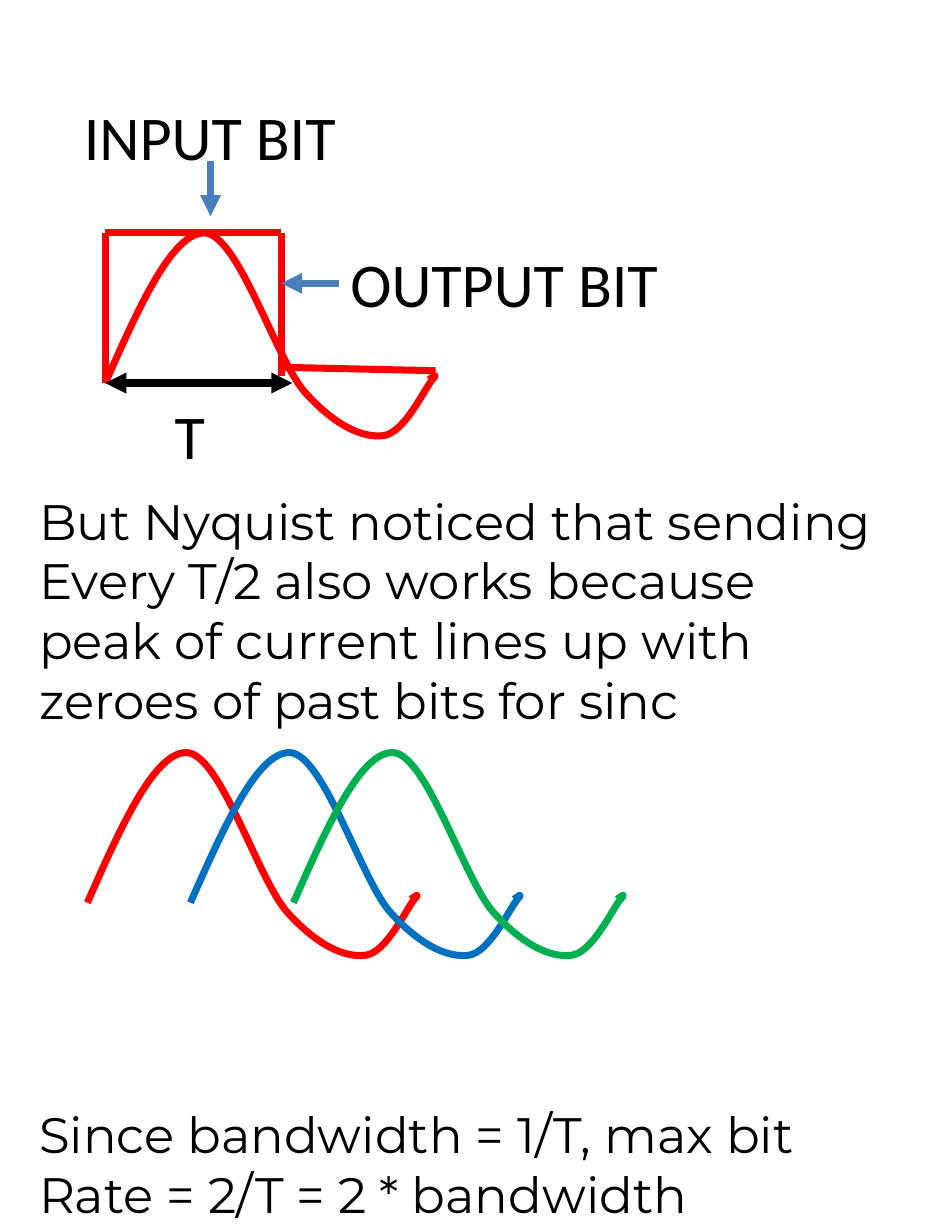
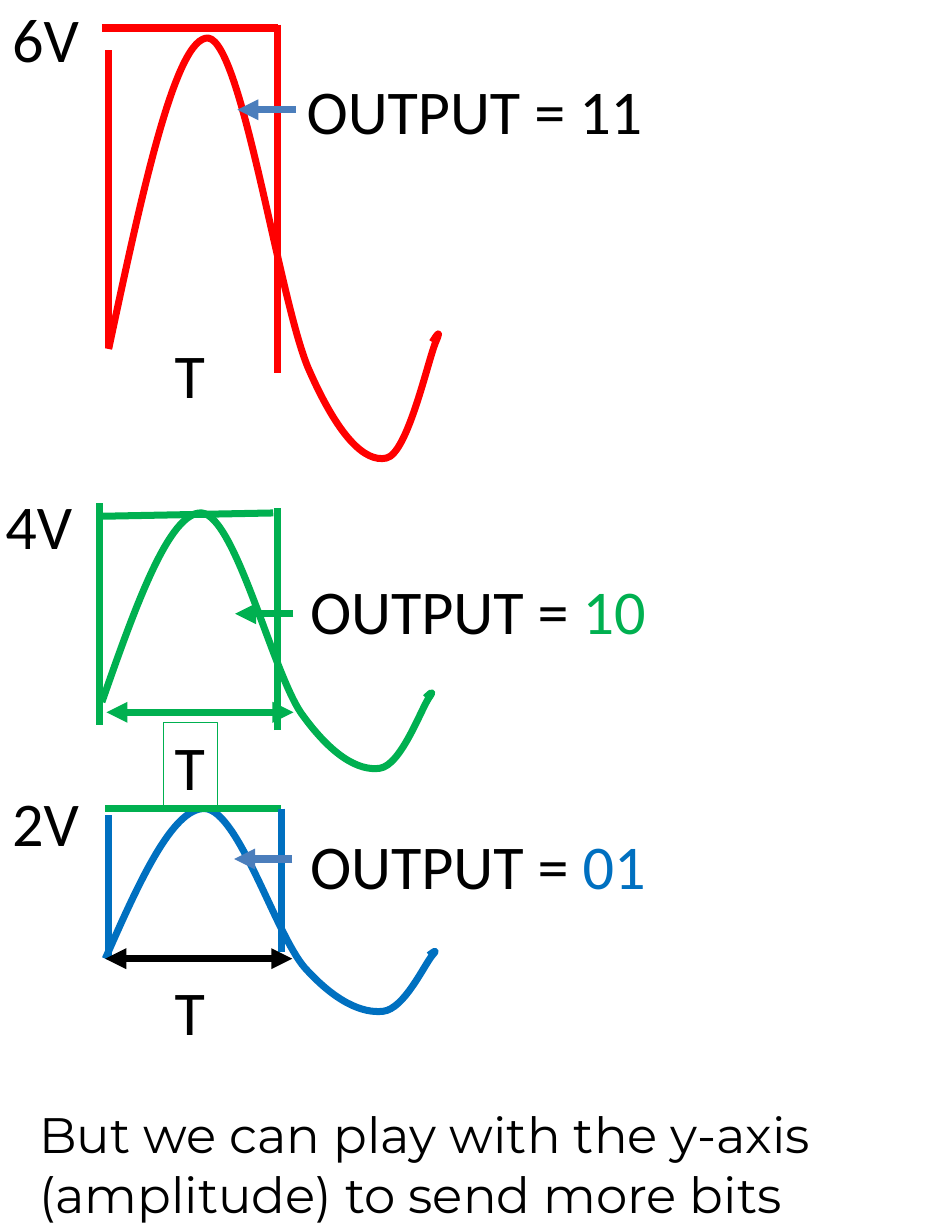
from lxml import etree
from pptx import Presentation
from pptx.dml.color import RGBColor
from pptx.enum.shapes import MSO_CONNECTOR
from pptx.enum.text import MSO_AUTO_SIZE
from pptx.oxml.ns import qn
from pptx.util import Inches, Pt

STRAIGHT = MSO_CONNECTOR.STRAIGHT
GROW = MSO_AUTO_SIZE.SHAPE_TO_FIT_TEXT

COLORS = {
    "red": "FF0000",
    "blue": "0070C0",
    "green": "00B050",
    "pointer": "4B7EBC",
    "black": "000000",
}
LABEL_FONT, BODY_FONT = "Calibri", "Montserrat"
STROKE = 4.5
LABEL_HEIGHT = 0.77
WAVE_HEIGHT = 1.81
WAVE_START = (0, 1.34)
WAVE_CURVES = [
    (0.3, 0.66), (0.6, -0.01), (0.89, 0),
    (1.19, 0.02), (1.52, 1.12), (1.78, 1.42),
    (2.05, 1.72), (2.29, 1.83), (2.48, 1.81),
    (2.67, 1.79), (2.85, 1.39), (2.92, 1.31),
    (2.99, 1.23), (2.89, 1.31), (2.89, 1.31),
]


def rgb(color):
    return RGBColor.from_string(COLORS[color])


def add_text(slide, box, paragraphs, font=LABEL_FONT, size=40, wrap=False, border=None):
    field = slide.shapes.add_textbox(*(Inches(v) for v in box))
    frame = field.text_frame
    frame.word_wrap = wrap
    frame.auto_size = GROW
    for index, parts in enumerate(paragraphs):
        paragraph = frame.add_paragraph() if index else frame.paragraphs[0]
        for words, color in parts:
            run = paragraph.add_run()
            run.text = words
            run.font.name = font
            run.font.size = Pt(size)
            run.font.color.rgb = rgb(color)
    if border:
        field.line.color.rgb = rgb(border)
        field.line.width = Pt(0.75)


def add_label(slide, left, top, width, *parts, border=None):
    add_text(slide, (left, top, width, LABEL_HEIGHT), [parts],
             wrap=border is not None, border=border)


def add_body(slide, top, height, lines):
    add_text(slide, (0.25, top, 8.25, height), [[(line, "black")] for line in lines],
             font=BODY_FONT, size=32, wrap=True)


def add_line(slide, start, end, color, ends=()):
    line = slide.shapes.add_connector(STRAIGHT, *(Inches(v) for v in start + end))
    line.line.color.rgb = rgb(color)
    line.line.width = Pt(STROKE)
    outline = line.line._get_or_add_ln()
    for end_tag in ends:
        etree.SubElement(outline, qn(end_tag), type="triangle")
    etree.SubElement(line._element.spPr, qn("a:effectLst"))


def add_pointer(slide, start, end, color="pointer"):
    add_line(slide, start, end, color, ["a:tailEnd"])


def add_span(slide, left, top, color):
    add_line(slide, (left, top), (left + 1.67, top), color, ["a:headEnd", "a:tailEnd"])


def add_wave(slide, left, top, color, height=WAVE_HEIGHT):
    def place(point):
        return Inches(left + point[0]), Inches(top + point[1] * height / WAVE_HEIGHT)

    builder = slide.shapes.build_freeform(*place(WAVE_START))
    builder.add_line_segments([place(point) for point in WAVE_CURVES], close=False)
    wave = builder.convert_to_shape()
    wave.shadow.inherit = False
    wave.fill.background()
    wave.line.color.rgb = rgb(color)
    wave.line.width = Pt(STROKE)
    outline = next(wave._element.iter(qn("a:path")))
    segments = outline.findall(qn("a:lnTo"))
    for first in range(0, len(segments), 3):
        curve = etree.SubElement(outline, qn("a:cubicBezTo"))
        for segment in segments[first:first + 3]:
            curve.append(segment[0])
            outline.remove(segment)


def draw_single_bit(slide, left, top):
    right = left + 1.57
    add_wave(slide, left, top, "red")
    add_line(slide, (left, top + 1.34), (left, top), "red")
    add_line(slide, (left, top), (right, top), "red")
    add_line(slide, (right, top), (right, top + 1.28), "red")
    add_label(slide, left - 0.29, top - 1.25, 2.48, ("INPUT BIT", "black"))
    add_pointer(slide, (left + 0.94, top - 0.64), (left + 0.94, top - 0.15))
    add_pointer(slide, (right + 0.52, top + 0.45), (right, top + 0.45))
    add_line(slide, (left + 1.6, top + 1.2), (left + 2.95, top + 1.23), "red")
    add_span(slide, left, top + 1.34, "black")
    add_label(slide, left + 0.52, top + 1.42, 0.48, ("T", "black"))
    add_label(slide, left + 2.09, top + 0.06, 2.98, ("OUTPUT BIT", "black"))


def draw_overlapping_bits(slide, left, top, step):
    for index, color in enumerate(["red", "blue", "green"]):
        add_wave(slide, left + index * step, top, color)


def draw_level(slide, top, volts, bits, color, bits_color, wave, edges, pointer,
               output, period, volts_left, span=None, pointer_color="pointer",
               period_border=None):
    wave_left, wave_top, wave_height = wave
    add_wave(slide, wave_left, top + wave_top, color, wave_height)
    for x1, y1, x2, y2, edge_color in edges:
        add_line(slide, (x1, top + y1), (x2, top + y2), edge_color)
    pointer_left, pointer_top = pointer
    add_pointer(slide, (pointer_left + 0.52, top + pointer_top),
                (pointer_left, top + pointer_top), pointer_color)
    if span:
        add_span(slide, span[0], top + span[1], span[2])
    add_label(slide, 1.46, top + period, 0.48, ("T", "black"), border=period_border)
    add_label(slide, output[0], top + output[1], 3.23,
              ("OUTPUT = ", "black"), (bits, bits_color))
    add_label(slide, volts_left, top, 0.81, (volts, "black"))


LEVELS = [
    dict(top=-0.05, volts="6V", bits="11", color="red", bits_color="black",
         wave=(0.97, 0.39, 3.75), pointer=(2.12, 1.03), output=(2.64, 0.65),
         period=3, volts_left=0.01,
         edges=[(0.97, 3.16, 0.97, 0.5, "red"), (0.91, 0.3, 2.48, 0.3, "red"),
                (2.48, 0.27, 2.48, 3.38, "red")]),
    dict(top=6.95, volts="2V", bits="01", color="blue", bits_color="blue",
         wave=(0.94, 0.27, 1.81), pointer=(2.09, 0.72), output=(2.67, 0.39),
         period=1.69, volts_left=0.01, span=(0.94, 1.61, "black"),
         edges=[(0.94, 0.27, 2.51, 0.27, "green"), (2.51, 0.27, 2.51, 1.55, "blue"),
                (0.97, 0.33, 0.97, 1.61, "blue")]),
    dict(top=4.3, volts="4V", bits="10", color="green", bits_color="green",
         wave=(0.91, 0.28, 2.28), pointer=(2.1, 1.18), output=(2.67, 0.76),
         period=2.15, volts_left=-0.05, span=(0.95, 2.06, "green"),
         pointer_color="green", period_border="green",
         edges=[(0.89, 0.31, 2.44, 0.28, "green"), (0.89, 2.17, 0.89, 0.19, "green"),
                (2.48, 2.22, 2.48, 0.24, "green")]),
]


def build_nyquist_slide(slide):
    draw_overlapping_bits(slide, 0.78, 6.72, 0.92)
    draw_single_bit(slide, 0.94, 2.08)
    add_body(slide, 4.33, 2.93, ["But Nyquist noticed that sending",
                                 "Every T/2 also works because",
                                 "peak of current lines up with",
                                 "zeroes of past bits for sinc"])
    add_body(slide, 9.81, 1.85, ["Since bandwidth = 1/T, max bit",
                                 "Rate = 2/T = 2 * bandwidth"])


def build_amplitude_slide(slide):
    for level in LEVELS:
        draw_level(slide, **level)
    add_body(slide, 9.81, 1.85, ["But we can play with the y-axis",
                                 "(amplitude) to send more bits"])


def main():
    deck = Presentation()
    deck.slide_width, deck.slide_height = Inches(8.5), Inches(11)
    for build in (build_nyquist_slide, build_amplitude_slide):
        build(deck.slides.add_slide(deck.slide_layouts[6]))
    deck.save("out.pptx")


if __name__ == "__main__":
    main()
